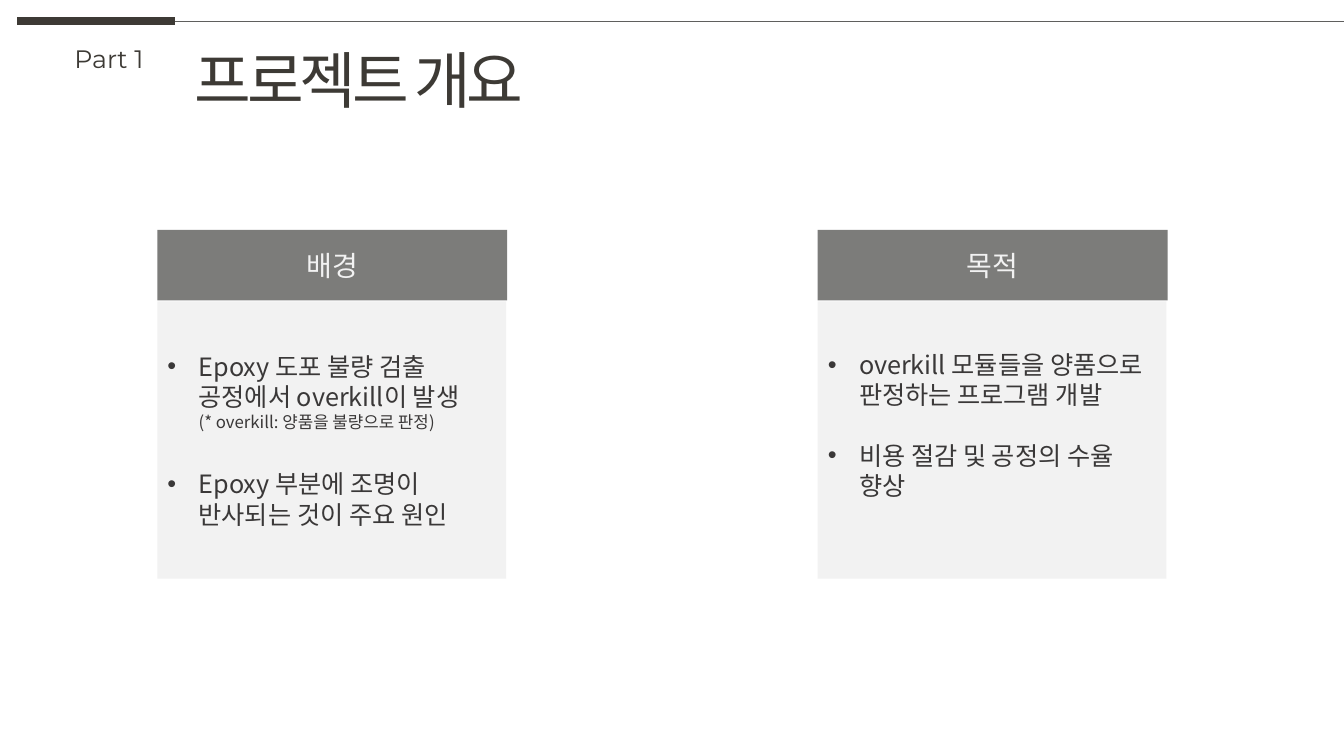
"""Build the project overview slide with its background and purpose cards."""
from dataclasses import dataclass

import lxml.etree
import pptx
import pptx.dml.color
import pptx.enum.shapes
import pptx.enum.text
import pptx.oxml.ns
import pptx.presentation
import pptx.shapes.base
import pptx.slide
import pptx.text.text
import pptx.util

Inches = pptx.util.Inches
RGBColor = pptx.dml.color.RGBColor
Align = pptx.enum.text.PP_ALIGN
Anchor = pptx.enum.text.MSO_ANCHOR

INK = RGBColor(0x3D, 0x3A, 0x35)
RULE = RGBColor(0x5F, 0x5F, 0x5D)
BODY_INK = RGBColor(0x3A, 0x38, 0x38)
HEADER_GRAY = RGBColor(0x7C, 0x7C, 0x7A)
PALE = RGBColor(0xF2, 0xF2, 0xF2)
DISPLAY_FONT = "Montserrat"
KOREAN_FONT = "Noto Sans CJK KR"
COMPARISON_LAYOUT = 4
RULE_TOP = 0.21
LINE_RATIO = 1.2


@dataclass
class Item:
    text: str
    size: float = 18
    bullet: bool = True
    gap: float = 0


@dataclass
class Card:
    left: float
    heading: str
    items: list[Item]
    heading_index: int
    body_index: int
    bottom_inset: float = 0.05


CARDS = [
    Card(1.56, "배경", [
        Item("Epoxy 도포 불량 검출\n공정에서 overkill이 발생"),
        Item("(* overkill: 양품을 불량으로 판정)", size=12, bullet=False),
        Item("Epoxy 부분에 조명이\n반사되는 것이 주요 원인", gap=26.4),
    ], 1, 2),
    Card(8.11, "목적", [
        Item("overkill 모듈들을 양품으로\n판정하는 프로그램 개발"),
        Item("비용 절감 및 공정의 수율 향상", gap=21.6),
    ], 3, 4, bottom_inset=0.35),
]


def add_child(parent: lxml.etree._Element, tag: str, **attributes: str) -> None:
    """Append a drawing element with the given attributes."""
    child = lxml.etree.SubElement(parent, pptx.oxml.ns.qn(tag))
    for name, value in attributes.items():
        child.set(name, value)


def write(para: pptx.text.text._Paragraph, text: str, *, size: float, color: RGBColor,
          font: str = DISPLAY_FONT, align: Align = Align.LEFT, tracking: float = 0) -> None:
    """Fill a paragraph with formatted text, breaking at newlines."""
    para.alignment = align
    for number, line in enumerate(text.split("\n")):
        if number:
            para.add_line_break()
        span = para.add_run()
        span.text = line
        span.font.size = pptx.util.Pt(size)
        span.font.bold = False
        span.font.name = font
        span.font.color.rgb = color
        properties = span.font._element
        add_child(properties, "a:ea", typeface=KOREAN_FONT)
        if tracking:
            properties.set("spc", str(round(tracking * 100)))


def place(box: pptx.shapes.base.BaseShape, left: float, top: float, width: float,
          height: float, anchor: Anchor = Anchor.MIDDLE) -> pptx.text.text.TextFrame:
    """Position a box and return its prepared text frame."""
    box.left, box.top = Inches(left), Inches(top)
    box.width, box.height = Inches(width), Inches(height)
    frame = box.text_frame
    frame.word_wrap = True
    frame.auto_size = pptx.enum.text.MSO_AUTO_SIZE.NONE
    frame.vertical_anchor = anchor
    return frame


def fill(box: pptx.shapes.base.BaseShape, color: RGBColor) -> None:
    """Give a box a solid fill."""
    box.fill.solid()
    box.fill.fore_color.rgb = color


def add_rule(page: pptx.slide.Slide, start: float, end: float, color: RGBColor,
             weight: float) -> None:
    """Draw a horizontal line along the top of the page."""
    rule = page.shapes.add_connector(
        pptx.enum.shapes.MSO_CONNECTOR.STRAIGHT,
        Inches(start), Inches(RULE_TOP), Inches(end), Inches(RULE_TOP))
    rule.line.color.rgb = color
    rule.line.width = pptx.util.Pt(weight)
    add_child(rule._element.spPr, "a:effectLst")


def add_item(para: pptx.text.text._Paragraph, item: Item) -> None:
    """Write one list item with a hanging indent."""
    para.line_spacing = pptx.util.Pt(item.size * LINE_RATIO)
    para.space_before = pptx.util.Pt(item.gap)
    properties = para._p.get_or_add_pPr()
    indent = Inches(0.31)
    properties.set("marL", str(indent))
    properties.set("indent", str(-indent if item.bullet else 0))
    if item.bullet:
        add_child(properties, "a:buFont", typeface="Arial")
        add_child(properties, "a:buChar", char="•")
    else:
        add_child(properties, "a:buNone")
    write(para, item.text, size=item.size, color=BODY_INK, font=KOREAN_FONT)


def add_card(page: pptx.slide.Slide, card: Card) -> None:
    """Fill the heading and list placeholders of one card."""
    slots = {slot.placeholder_format.idx: slot for slot in page.placeholders}
    heading, body = slots[card.heading_index], slots[card.body_index]
    fill(heading, HEADER_GRAY)
    fill(body, PALE)
    frame = place(heading, card.left, 2.28, 3.47, 0.7)
    frame.paragraphs[0].space_before = pptx.util.Pt(0)
    write(frame.paragraphs[0], card.heading, size=20, color=PALE, align=Align.CENTER)
    frame = place(body, card.left, 2.99, 3.46, 2.75)
    frame.margin_bottom = Inches(card.bottom_inset)
    for number, item in enumerate(card.items):
        add_item(frame.add_paragraph() if number else frame.paragraphs[0], item)


def build() -> pptx.presentation.Presentation:
    """Assemble the deck."""
    deck = pptx.Presentation()
    deck.slide_width, deck.slide_height = Inches(13.33), Inches(7.5)
    page = deck.slides.add_slide(deck.slide_layouts[COMPARISON_LAYOUT])
    add_rule(page, 0.17, 1.74, INK, 6)
    add_rule(page, 1.74, 13.33, RULE, 0.5)
    title = place(page.shapes.title, 1.83, 0.36, 4, 0.84)
    write(title.paragraphs[0], "프로젝트 개요", size=44, color=INK, tracking=-3)
    label = page.shapes.add_textbox(0, 0, 0, 0)
    frame = place(label, 0.64, 0.38, 0.92, 0.4, Anchor.TOP)
    write(frame.paragraphs[0], "Part 1", size=18, color=INK)
    for card in CARDS:
        add_card(page, card)
    return deck


if __name__ == "__main__":
    build().save("out.pptx")
